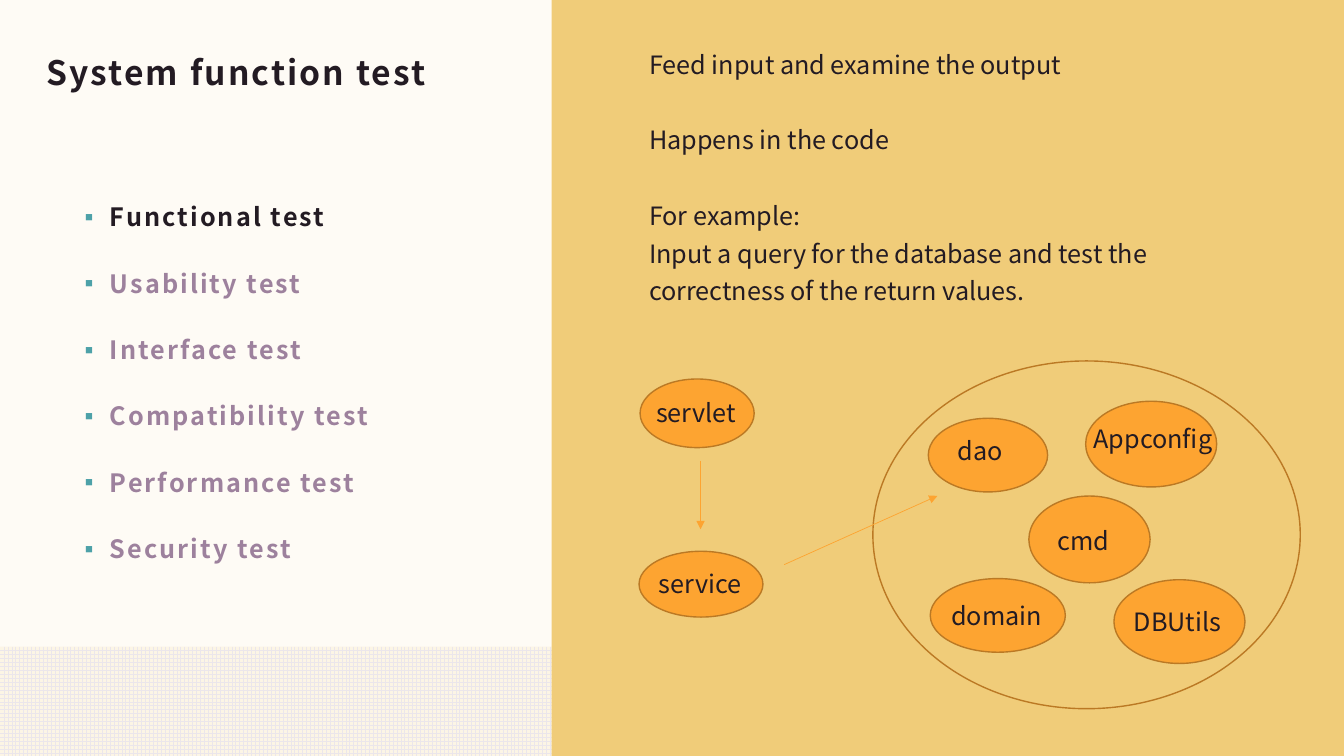
from dataclasses import dataclass
from lxml.etree import SubElement
from pptx import Presentation
from pptx.dml.color import RGBColor
from pptx.enum.dml import MSO_PATTERN
from pptx.enum.shapes import MSO_CONNECTOR, MSO_SHAPE
from pptx.enum.text import MSO_ANCHOR, MSO_AUTO_SIZE, PP_ALIGN
from pptx.oxml.ns import qn
from pptx.util import Pt


@dataclass(frozen=True)
class Theme:
    paper: str = "FEFBF5"
    cream: str = "FCF5E5"
    grid: str = "EBE6EB"
    panel: str = "F0CC79"
    ink: str = "231B23"
    muted: str = "9D819D"
    bullet: str = "4DA1A8"
    node: str = "FDA431"
    outline: str = "BB7924"
    heading_font: str = "Noto Sans CJK SC"
    body_font: str = "Noto Sans CJK JP"
    title_size: int = 24
    body_size: int = 18


T = Theme()
WIDTH, HEIGHT = 960, 540
TESTS = ["Functional test", "Usability test", "Interface test",
         "Compatibility test", "Performance test", "Security test"]
# Text and the space before it
NOTES = [("Feed input and examine the output", 0),
         ("Happens in the code", 27),
         ("For example:", 27),
         ("Input a query for the database and test the "
          "correctness of the return values.", 0)]
# Name, ellipse box, label left, top and width, all relative to the diagram
NODES = [("servlet", (0.7, 12.9, 81.5, 49), (5, 22.3, 87)),
         ("service", (0, 136, 88.5, 47), (7, 144.7, 101.5)),
         ("dao", (206.6, 41, 85.2, 52.6), (220.3, 49.7, 65)),
         ("cmd", (278.4, 96.5, 86.6, 62), (291.6, 113.7, 101.5)),
         ("DBUtils", (339.2, 156.3, 93.6, 59.8), (346.3, 172, 101.5)),
         ("Appconfig", (319, 28.8, 93.6, 61.2), (317.5, 41, 101.5)),
         ("domain", (208, 155.5, 96.5, 52.6), (216, 167.7, 101.5))]
GROUP = (167, 0, 305.3, 248.4)
ARROWS = [((43.9, 71.3), (43.9, 120.2)), ((103.7, 145.5), (213.1, 96.4))]


def rgb(value):
    return RGBColor.from_string(value)


def place(sp, x, y, w, h):
    sp.left, sp.top, sp.width, sp.height = Pt(x), Pt(y), Pt(w), Pt(h)


def add_text(p, text, font, size, color, bold=False, tracking=0):
    r = p.add_run()
    r.text = text
    r.font.name, r.font.size, r.font.bold = font, Pt(size), bold
    r.font.color.rgb = rgb(color)
    if tracking:
        r.font._element.set("spc", str(int(tracking * 100)))


def set_bullet(p, indent=0, char=None):
    pPr = p._p.get_or_add_pPr()
    pPr.set("marL", str(Pt(indent)))
    pPr.set("indent", str(-Pt(indent)))
    if char:
        color = SubElement(pPr, qn("a:buClr"))
        SubElement(color, qn("a:srgbClr")).set("val", T.bullet)
        SubElement(pPr, qn("a:buChar")).set("char", char)
    else:
        SubElement(pPr, qn("a:buNone"))


def paragraphs(tf, count):
    return [tf.paragraphs[0]] + [tf.add_paragraph() for _ in range(count - 1)]


def add_shape(s, kind, x, y, w, h, fill=None, line=None):
    sp = s.shapes.add_shape(kind, Pt(x), Pt(y), Pt(w), Pt(h))
    sp.shadow.inherit = False
    if fill:
        sp.fill.solid()
        sp.fill.fore_color.rgb = rgb(fill)
    else:
        sp.fill.background()
    if line:
        sp.line.color.rgb = rgb(line)
        sp.line.width = Pt(1)
    else:
        sp.line.fill.background()
    return sp


def backdrop(s, band_top, panel_left):
    s.background.fill.solid()
    s.background.fill.fore_color.rgb = rgb(T.paper)
    band = add_shape(s, MSO_SHAPE.RECTANGLE, 0, band_top, WIDTH, HEIGHT - band_top)
    band.fill.patterned()
    band.fill.pattern = MSO_PATTERN.LARGE_GRID
    band.fill.fore_color.rgb = rgb(T.grid)
    band.fill.back_color.rgb = rgb(T.cream)
    panel = add_shape(s, MSO_SHAPE.RECTANGLE, panel_left, 0,
                      WIDTH - panel_left, HEIGHT, T.panel)
    # Both go behind the placeholders
    for i, sp in enumerate((band, panel)):
        s.shapes._spTree.insert(2 + i, sp._element)


def title(sp, box):
    place(sp, *box)
    tf = sp.text_frame
    tf.auto_size, tf.vertical_anchor = MSO_AUTO_SIZE.NONE, MSO_ANCHOR.MIDDLE
    p = tf.paragraphs[0]
    p.alignment, p.line_spacing = PP_ALIGN.LEFT, 0.9
    add_text(p, "System function test", T.heading_font, T.title_size, T.ink, True, 1.5)


def test_list(sp, box):
    place(sp, *box)
    tf = sp.text_frame
    tf.auto_size = MSO_AUTO_SIZE.NONE
    for i, (p, name) in enumerate(zip(paragraphs(tf, len(TESTS)), TESTS)):
        p.line_spacing, p.space_before = 1.5, Pt(15)
        set_bullet(p, 18, "▪")
        add_text(p, name, T.heading_font, T.body_size,
                 T.muted if i else T.ink, True, 1.5)


def notes_text(sp, box):
    place(sp, *box)
    tf = sp.text_frame
    tf.auto_size = MSO_AUTO_SIZE.NONE
    for p, (text, gap) in zip(paragraphs(tf, len(NOTES)), NOTES):
        p.line_spacing, p.space_before = 1.25, Pt(gap)
        set_bullet(p)
        add_text(p, text, T.body_font, T.body_size, T.ink)


def diagram(s, x, y):
    # Ellipses
    for _, (dx, dy, w, h), _ in NODES:
        add_shape(s, MSO_SHAPE.OVAL, x + dx, y + dy, w, h, T.node, T.outline)
    dx, dy, w, h = GROUP
    add_shape(s, MSO_SHAPE.OVAL, x + dx, y + dy, w, h, line=T.outline)

    # Labels
    for name, _, (dx, dy, w) in NODES:
        tb = s.shapes.add_textbox(Pt(x + dx), Pt(y + dy), Pt(w), Pt(29))
        tb.text_frame.word_wrap = True
        add_text(tb.text_frame.paragraphs[0], name, T.body_font, T.body_size, T.ink)

    # Arrows
    for (x1, y1), (x2, y2) in ARROWS:
        c = s.shapes.add_connector(MSO_CONNECTOR.STRAIGHT, Pt(x + x1), Pt(y + y1),
                                   Pt(x + x2), Pt(y + y2))
        c.line.color.rgb = rgb(T.node)
        c.line.width = Pt(0.5)
        SubElement(c.line._get_or_add_ln(), qn("a:tailEnd")).set("type", "triangle")
        SubElement(c._element.spPr, qn("a:effectLst"))


def main():
    prs = Presentation()
    prs.slide_width, prs.slide_height = Pt(WIDTH), Pt(HEIGHT)
    s = prs.slides.add_slide(prs.slide_layouts.get_by_name("Two Content"))
    heading, left, right = s.placeholders
    backdrop(s, band_top=462, panel_left=394)
    title(heading, (26, 26, 399, 55))
    test_list(left, (53.3, 129.6, 281.5, 299))
    notes_text(right, (456.5, 26, 406, 195))
    diagram(s, 456.5, 257.8)
    prs.save("out.pptx")


if __name__ == "__main__":
    main()
